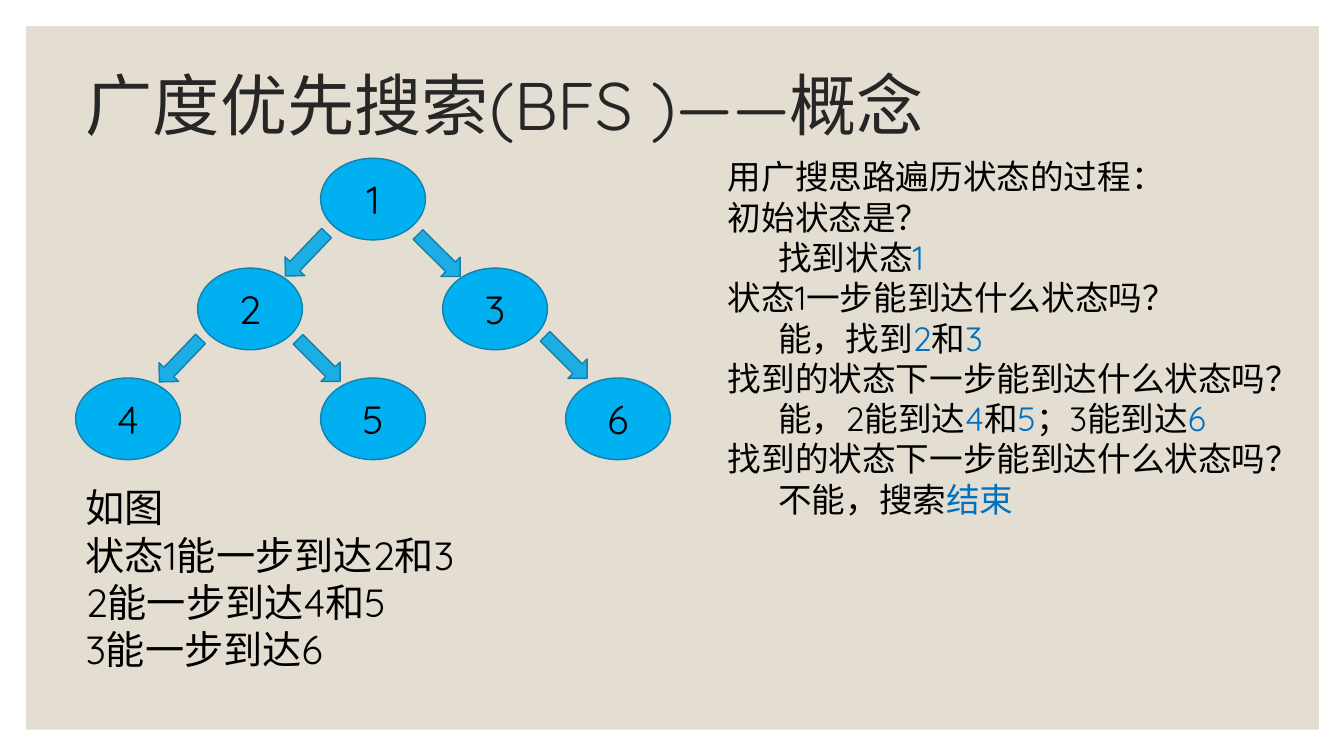
from pptx import Presentation
from pptx import util as u
from pptx.dml.color import RGBColor
from pptx.enum import shapes, text
from pptx.oxml.ns import qn
from lxml import etree

PX = 9144  # EMU in one px, 100 px to the inch
FONT = "Quicksand"
BLACK, BLUE = "000000", "0070C0"


def style_run(run, size, color):
    run.font.name = FONT
    run.font.size = u.Pt(size)
    run.font.color.rgb = RGBColor.from_string(color)
    east_asian = etree.SubElement(run.font._element, qn("a:ea"))
    east_asian.set("typeface", FONT)


def add_filled(kind, left, top, width, height, fill, line=None):
    shape = slide.shapes.add_shape(kind, left * PX, top * PX, width * PX, height * PX)
    shape.shadow.inherit = False
    shape.fill.solid()
    shape.fill.fore_color.rgb = RGBColor.from_string(fill)
    if line:
        shape.line.color.rgb = RGBColor.from_string(line)
        shape.line.width = u.Pt(1)
    else:
        shape.line.fill.background()
    return shape


presentation = Presentation()
presentation.slide_width, presentation.slide_height = 1333 * PX, 750 * PX
slide = presentation.slides.add_slide(presentation.slide_layouts[5])

# Title on a beige panel
title = slide.shapes.title
panel = add_filled(shapes.MSO_SHAPE.RECTANGLE, 26, 26, 1282, 698, "E3DED1")
title.element.addprevious(panel.element)
title.left, title.top, title.width, title.height = 75 * PX, 33 * PX, 1084 * PX, 150 * PX
title.text_frame.text = "广度优先搜索(BFS )——概念"
title.text_frame.vertical_anchor = text.MSO_ANCHOR.MIDDLE
title_paragraph = title.text_frame.paragraphs[0]
title_paragraph.alignment = text.PP_ALIGN.LEFT
title_paragraph.line_spacing = 0.9
style_run(title_paragraph.runs[0], 48, "262626")

# Tree nodes: label, column, row
nodes = [("1", 2, 0), ("3", 3, 1), ("2", 1, 1), ("4", 0, 2), ("5", 2, 2), ("6", 4, 2)]
for label, column, row in nodes:
    node = add_filled(shapes.MSO_SHAPE.OVAL, 75 + column * 243 // 2, 157 + row * 109,
                      104, 81, "00B0F0", "1580A9")
    node.text_frame.text = label
    node.text_frame.vertical_anchor = text.MSO_ANCHOR.MIDDLE
    paragraph = node.text_frame.paragraphs[0]
    paragraph.alignment = text.PP_ALIGN.CENTER
    style_run(paragraph.runs[0], 28, BLACK)

# Block arrows: left, top, rotation
down_left, down_right = 133.7, 44.9
arrows = [(274, 239, down_left), (149, 344, down_left), (406, 240, down_right),
          (287, 344, down_right), (532, 341, down_right)]
for left, top, rotation in arrows:
    arrow = add_filled(shapes.MSO_SHAPE.RIGHT_ARROW, left, top, 59, 27, "1CADE4", "1580A9")
    arrow.rotation = rotation

# Text blocks: a leading ">" indents a line, "*" switches blue on and off
tree_lines = ["如图", "状态1能一步到达2和3", "2能一步到达4和5", "3能一步到达6"]
process_lines = [
    "用广搜思路遍历状态的过程：",
    "初始状态是？",
    ">找到状态*1",
    "状态1一步能到达什么状态吗？",
    ">能，找到*2*和*3",
    "找到的状态下一步能到达什么状态吗？",
    ">能，2能到达*4*和*5*；3能到达*6",
    "找到的状态下一步能到达什么状态吗？",
    ">不能，搜索*结束",
]
blocks = [(75, 475, 199, 28, tree_lines), (712, 150, 374, 24, process_lines)]
for left, top, height, size, lines in blocks:
    box = slide.shapes.add_textbox(left * PX, top * PX, 592 * PX, height * PX)
    frame = box.text_frame
    frame.word_wrap = True
    frame.auto_size = text.MSO_AUTO_SIZE.SHAPE_TO_FIT_TEXT
    for index, line in enumerate(lines):
        paragraph = frame.add_paragraph() if index else frame.paragraphs[0]
        if line.startswith(">"):
            paragraph._p.get_or_add_pPr().set("marL", str(50 * PX))
        for part, words in enumerate(line.lstrip(">").split("*")):
            run = paragraph.add_run()
            run.text = words
            style_run(run, size, BLUE if part % 2 else BLACK)

presentation.save("out.pptx")
